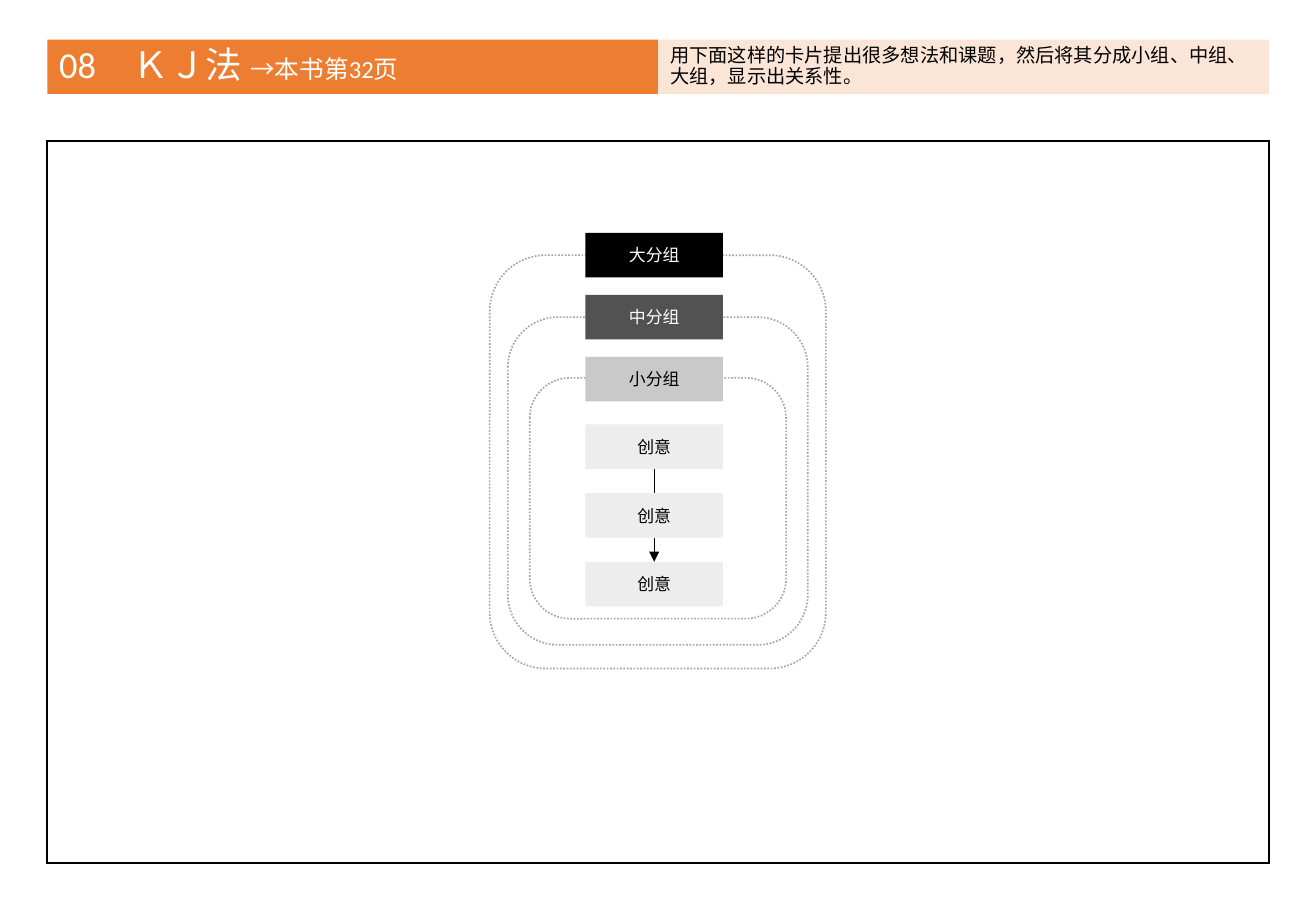
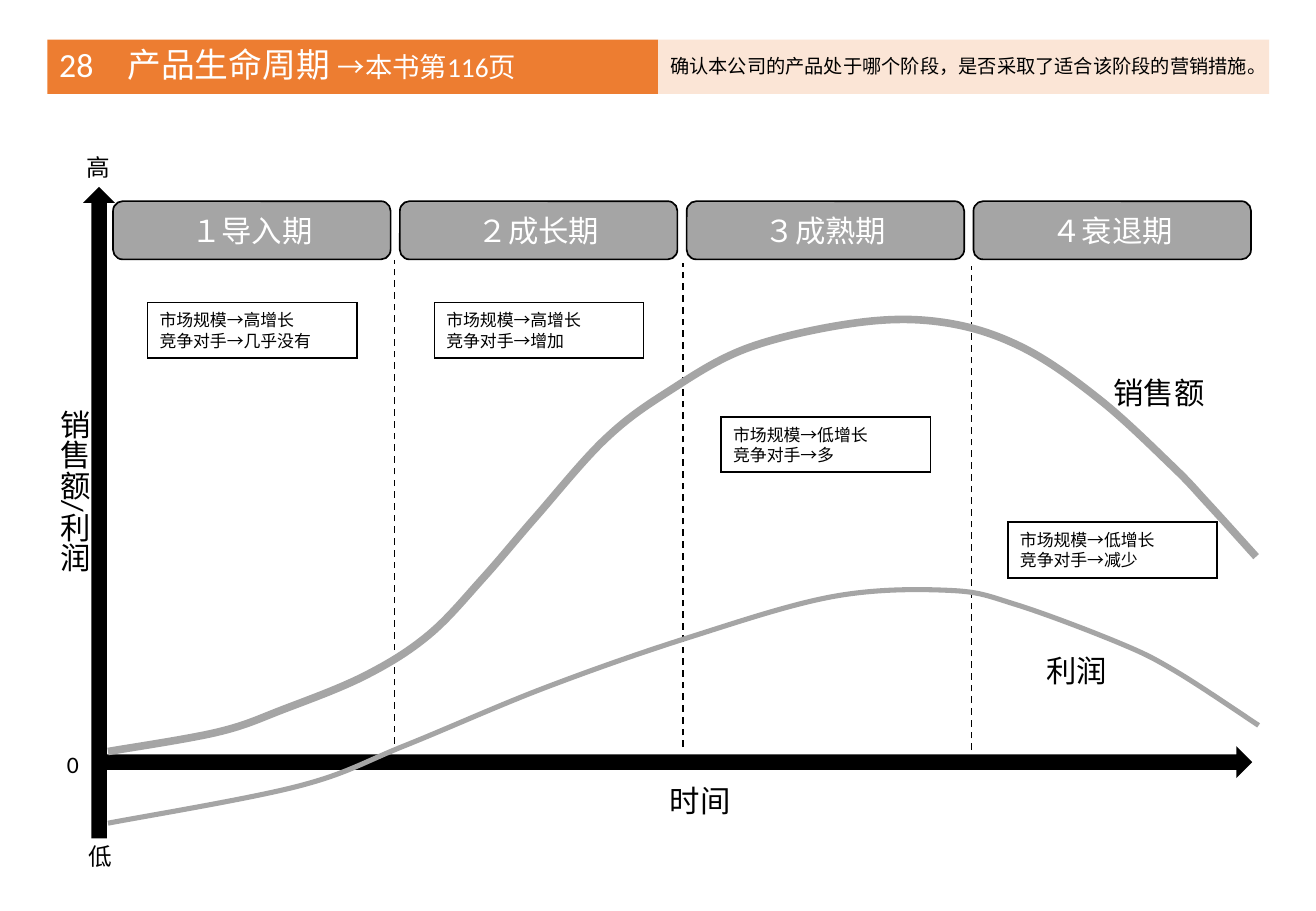
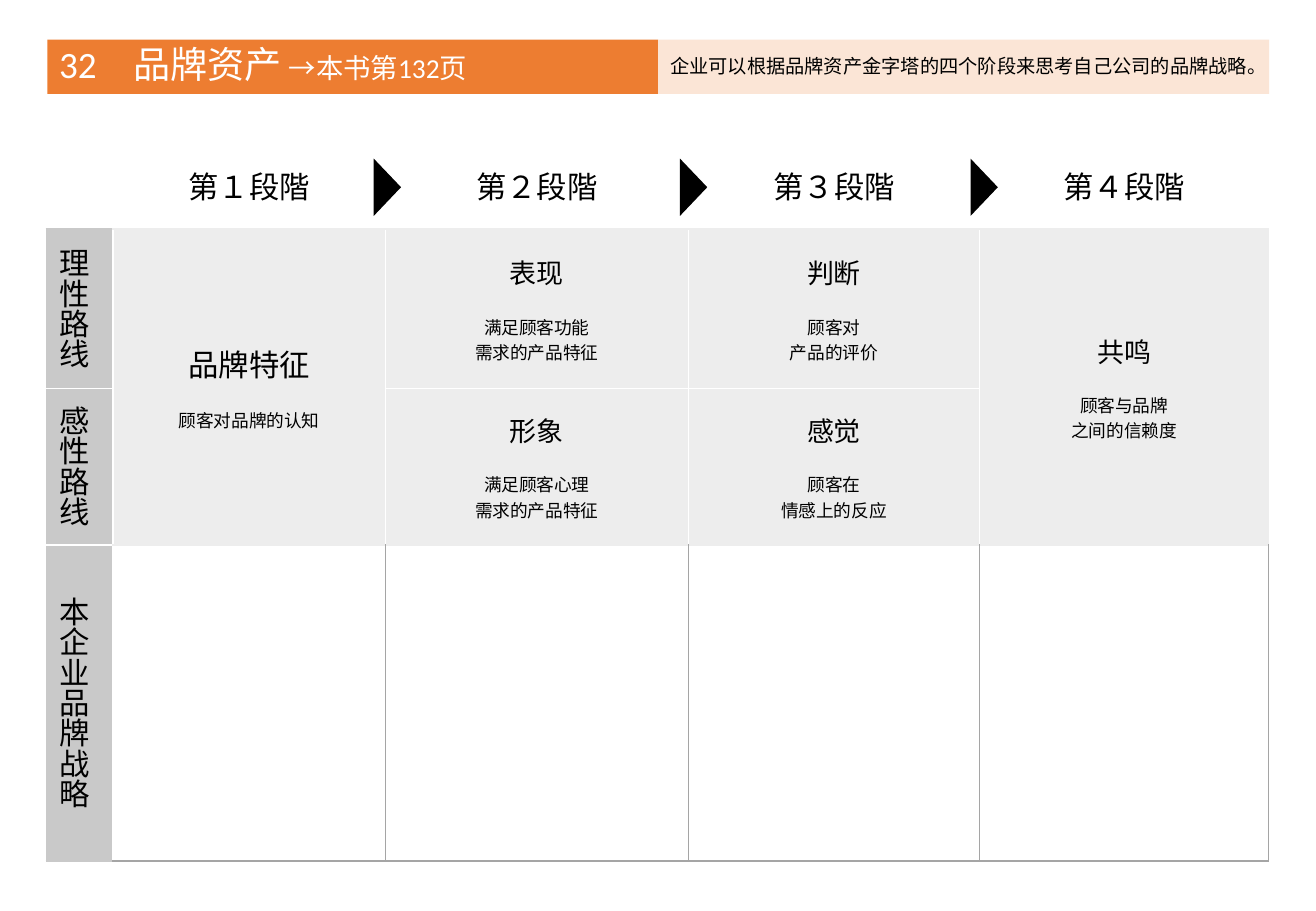
"""Build three business framework worksheets: KJ method, product life cycle and brand equity."""
from dataclasses import dataclass

from lxml import etree
from pptx import Presentation
from pptx import util as u
from pptx.dml.color import RGBColor
from pptx.enum import dml, lang, shapes, text
from pptx.oxml import ns
from pptx.shapes.connector import Connector


@dataclass(frozen=True)
class Theme:
    font: str = "Calibri"
    black: str = "000000"
    white: str = "FFFFFF"
    orange: str = "ED7D31"
    peach: str = "FBE5D6"
    pale: str = "EDEDED"
    light: str = "C9C9C9"
    gray: str = "A5A5A5"
    dark: str = "525252"
    label: float = 18
    heading: float = 16
    axis: float = 14
    lead: float = 11.4
    detail: float = 10.5
    small: float = 10


theme = Theme()
kinds = shapes.MSO_SHAPE
LEFT, CENTER = text.PP_ALIGN.LEFT, text.PP_ALIGN.CENTER


def write(frame, words, size=theme.small, color=theme.black, align=LEFT, gap=0, spacing=None, join=False):
    """Append lines as paragraphs, or join them to the last paragraph."""
    for number, line in enumerate(words.split("\n")):
        para = frame.paragraphs[-1]
        if para.runs and not join:
            para = frame.add_paragraph()
        para.alignment = align
        para.line_spacing = spacing
        if gap and number == 0:
            para.space_before = u.Pt(gap)
        span = para.add_run()
        span.text = line
        span.font.name = theme.font
        span.font.size = u.Pt(size)
        span.font.color.rgb = RGBColor.from_string(color)
        span.font.language_id = lang.MSO_LANGUAGE_ID.SIMPLIFIED_CHINESE


def style(shape, fill=None, line=None, width=1, dash=None):
    """Set fill and line, remove the shadow and return the shape."""
    if line:
        shape.line.color.rgb = RGBColor.from_string(line)
        shape.line.width = u.Pt(width)
        if dash:
            shape.line.dash_style = dash
        etree.SubElement(shape.line._get_or_add_ln(), ns.qn("a:miter"), lim="800000")
    else:
        shape.line.fill.background()
    if isinstance(shape, Connector):
        etree.SubElement(shape._element.spPr, ns.qn("a:effectLst"))
        return shape
    shape.shadow.inherit = False
    if fill:
        shape.fill.solid()
        shape.fill.fore_color.rgb = RGBColor.from_string(fill)
    else:
        shape.fill.background()
    return shape


deck = Presentation()
deck.slide_width, deck.slide_height = u.Pt(780), u.Pt(540)

left, top, width = 28, 83.75, 724.25
band_top, band_height = 23.5, 32.25
bands = [
    ("08　ＫＪ法", 21.6, 21.6, "→本书第32页", 14.6,
     "用下面这样的卡片提出很多想法和课题，然后将其分成小组、中组、大组，显示出关系性。"),
    ("28　产品生命周期", 20, 20, "→本书第116页", 16.2,
     "确认本公司的产品处于哪个阶段，是否采取了适合该阶段的营销措施。"),
    ("32　品牌资产", 22, 18, "→本书第132页", 16.2,
     "企业可以根据品牌资产金字塔的四个阶段来思考自己公司的品牌战略。"),
]
pages = []
for title, title_size, space_size, reference, reference_size, lead in bands:
    page = deck.slides.add_slide(deck.slide_layouts[6])
    pages.append(page)
    frames = []
    for column, fill in enumerate((theme.orange, theme.peach)):
        area = (left + column * width / 2, band_top, width / 2, band_height)
        box = style(page.shapes.add_shape(kinds.RECTANGLE, *map(u.Pt, area)), fill)
        frames.append(box.text_frame)
    for words, size in [(title, title_size), (" ", space_size), (reference, reference_size)]:
        write(frames[0], words, size, theme.white, spacing=0.9, join=True)
    write(frames[1], lead, theme.lead, spacing=0.9)
kj_page, cycle_page, brand_page = pages

style(kj_page.shapes.add_shape(kinds.RECTANGLE, *map(u.Pt, (left, top, width, 427.75))), line=theme.black)
for area in [(290.25, 151.25, 199.25, 245), (301, 188, 177.75, 194.25), (314, 224, 152, 142.75)]:
    ring = kj_page.shapes.add_shape(kinds.ROUNDED_RECTANGLE, *map(u.Pt, area))
    style(ring, line=theme.gray, dash=dml.MSO_LINE.ROUND_DOT)

card_left, card_width, card_height = 347, 81.5, 26.5
idea_top, idea_step = 251.5, 40.75
cards = [
    ("大分组", 138, theme.black, theme.white),
    ("中分组", 174.75, theme.dark, theme.white),
    ("小分组", 211.5, theme.light, theme.black),
]
cards += [("创意", idea_top + i * idea_step, theme.pale, theme.black) for i in range(3)]
for name, card_top, fill, color in cards:
    area = (card_left, card_top, card_width, card_height)
    card = style(kj_page.shapes.add_shape(kinds.RECTANGLE, *map(u.Pt, area)), fill)
    write(card.text_frame, name, color=color, align=CENTER)

for i in range(2):
    x = card_left + card_width / 2
    start = idea_top + i * idea_step + card_height
    ends = (x, start, x, idea_top + (i + 1) * idea_step)
    link = kj_page.shapes.add_connector(shapes.MSO_CONNECTOR.STRAIGHT, *map(u.Pt, ends))
    style(link, line=theme.black, width=0.5)
etree.SubElement(link.line._get_or_add_ln(), ns.qn("a:tailEnd"), type="triangle")

for kind, area in [
    (kinds.UP_ARROW, (50.5, 111.5, 16.5, 385)),
    (kinds.RIGHT_ARROW, (58.5, 443.5, 683, 16.5)),
]:
    style(cycle_page.shapes.add_shape(kind, *map(u.Pt, area)), theme.black, theme.black)

phases = [
    ("１导入期", "市场规模→高增长\n竞争对手→几乎没有", 179.25),
    ("２成长期", "市场规模→高增长\n竞争对手→增加", 179.25),
    ("３成熟期", "市场规模→低增长\n竞争对手→多", 247),
    ("４衰退期", "市场规模→低增长\n竞争对手→减少", 309.5),
]
phase_step = 170
for i, (phase, note, note_top) in enumerate(phases):
    area = (67 + i * phase_step, 119.25, 164.5, 34.5)
    tab = cycle_page.shapes.add_shape(kinds.ROUNDED_RECTANGLE, *map(u.Pt, area))
    write(style(tab, theme.gray, theme.black).text_frame, phase, theme.label, theme.white, CENTER)

for i in range(3):
    x, y = 233.75 + i * 171, 154 + i * 1.8
    divider = cycle_page.shapes.add_connector(
        shapes.MSO_CONNECTOR.STRAIGHT, *map(u.Pt, (x, y + 287, x, y)))
    style(divider, line=theme.black, dash=dml.MSO_LINE.DASH)

sales = [(64, 445.5), (129, 434), (168, 420.5), (216.5, 400.5), (254, 376.5), (286.5, 342.5),
         (317.5, 306.5), (358.5, 260.5), (395.5, 232.5), (444, 206), (510.5, 191), (561.5, 191.5),
         (607, 206.5), (652.5, 237.5), (695.5, 277), (715.5, 298), (744.5, 330)]
profit = [(64, 488), (177, 466), (240, 442), (323.5, 407.5), (409.5, 377.5), (494.5, 353.5),
          (563, 350), (602.5, 358.5), (663, 381), (697, 398), (746, 430)]
for knots, weight in [(sales, 4.5), (profit, 3)]:
    builder = cycle_page.shapes.build_freeform(*map(u.Pt, knots[0]))
    builder.add_line_segments([tuple(map(u.Pt, knot)) for knot in knots[1:]], close=False)
    curve = style(builder.convert_to_shape(), line=theme.gray, width=weight)
    spots = [(int(spot.get("x")), int(spot.get("y"))) for spot in curve._element.iter(ns.qn("a:pt"))]
    padded = [spots[0], *spots, spots[-1]]
    segments = list(curve._element.iter(ns.qn("a:lnTo")))
    for segment, window in zip(segments, zip(padded, padded[1:], padded[2:], padded[3:])):
        before, start, end, after = window
        leaving = [s + (e - b) / 6 for b, s, e in zip(before, start, end)]
        arriving = [e - (a - s) / 6 for s, e, a in zip(start, end, after)]
        bend = etree.Element(ns.qn("a:cubicBezTo"))
        for x, y in (leaving, arriving, end):
            etree.SubElement(bend, ns.qn("a:pt"), x=str(round(x)), y=str(round(y)))
        segment.getparent().replace(segment, bend)

for i, (phase, note, note_top) in enumerate(phases):
    area = (87.5 + i * phase_step, note_top, 124, 33)
    box = cycle_page.shapes.add_shape(kinds.RECTANGLE, *map(u.Pt, area))
    write(style(box, theme.white, theme.black).text_frame, note)

for words, size, area, vertical in [
    ("高", theme.axis, (44, 87, 28.5, 24.5), False),
    ("低", theme.axis, (45.5, 495.25, 28.5, 24.5), False),
    ("0", theme.axis, (32.5, 441.25, 21.5, 24.5), False),
    ("时间", theme.label, (390, 460, 51, 29), False),
    ("销售额", theme.label, (653, 218, 69, 29), False),
    ("利润", theme.label, (613, 383, 51, 29), False),
    ("销售额/利润", theme.label, (22.5, 235.75, 36, 129.5), True),
]:
    frame = cycle_page.shapes.add_textbox(*map(u.Pt, area)).text_frame
    frame.word_wrap = vertical
    if vertical:
        frame._txBody.bodyPr.set("vert", "eaVert")
    write(frame, words, size)

column_widths = [39.5, 161.5, 179.5, 172.75, 171.25]
row_heights = [51.75, 94.5, 92.75, 187.5]
area = (27.5, 84, sum(column_widths), sum(row_heights))
table = brand_page.shapes.add_table(4, 5, *map(u.Pt, area)).table
table.first_row = table.horz_banding = False
for column, size in zip(table.columns, column_widths):
    column.width = u.Pt(size)
for row, size in zip(table.rows, row_heights):
    row.height = u.Pt(size)
for column in (1, 4):
    table.cell(1, column).merge(table.cell(2, column))

white, pale, light, gray = theme.white, theme.pale, theme.light, theme.gray
merged_edges = [white, pale, pale, pale, gray]
split_edges = [white, pale, white, pale, gray]
level_edges = [[white, light, white, white, light], merged_edges, split_edges, split_edges, merged_edges]
route_edges = [light, white, white, white, white, pale]
upright_edges = [[white] * 6, route_edges, route_edges, [light, white, gray, gray, gray, gray]]
for r in range(4):
    for c in range(5):
        cell = table.cell(r, c)
        cell.vertical_anchor = text.MSO_ANCHOR.MIDDLE
        properties = cell._tc.get_or_add_tcPr()
        for side, color in [
            ("L", upright_edges[r][c]), ("R", upright_edges[r][c + 1]),
            ("T", level_edges[c][r]), ("B", level_edges[c][r + 1]),
        ]:
            edge = etree.SubElement(properties, ns.qn("a:ln" + side), w=str(u.Pt(1)))
            solid = etree.SubElement(edge, ns.qn("a:solidFill"))
            etree.SubElement(solid, ns.qn("a:srgbClr"), val=color)
        cell.fill.solid()
        fill = white if r == 0 else light if c == 0 else pale if r < 3 else white
        cell.fill.fore_color.rgb = RGBColor.from_string(fill)

for c, stage in enumerate(["第１段階", "第２段階", "第３段階", "第４段階"], 1):
    write(table.cell(0, c).text_frame, stage, theme.label, align=CENTER)
for r, route in enumerate(["理性路线", "感性路线", "本企业品牌战略"], 1):
    cell = table.cell(r, 0)
    cell._tc.get_or_add_tcPr().set("vert", "eaVert")
    write(cell.text_frame, route, theme.label, align=CENTER)
for r, c, heading, size, detail in [
    (1, 1, "品牌特征", theme.label, "顾客对品牌的认知"),
    (1, 2, "表现", theme.heading, "满足顾客功能\n需求的产品特征"),
    (1, 3, "判断", theme.heading, "顾客对\n产品的评价"),
    (1, 4, "共鸣", theme.heading, "顾客与品牌\n之间的信赖度"),
    (2, 2, "形象", theme.heading, "满足顾客心理\n需求的产品特征"),
    (2, 3, "感觉", theme.heading, "顾客在\n情感上的反应"),
]:
    frame = table.cell(r, c).text_frame
    write(frame, heading, size, align=CENTER)
    write(frame, detail, theme.detail, align=CENTER, gap=13)

for x in (213.75, 395.25, 567.5):
    pointer = brand_page.shapes.add_shape(kinds.ISOSCELES_TRIANGLE, *map(u.Pt, (x, 103.5, 31.5, 15)))
    pointer.rotation = 90
    style(pointer, theme.black, theme.black)

deck.save("out.pptx")
